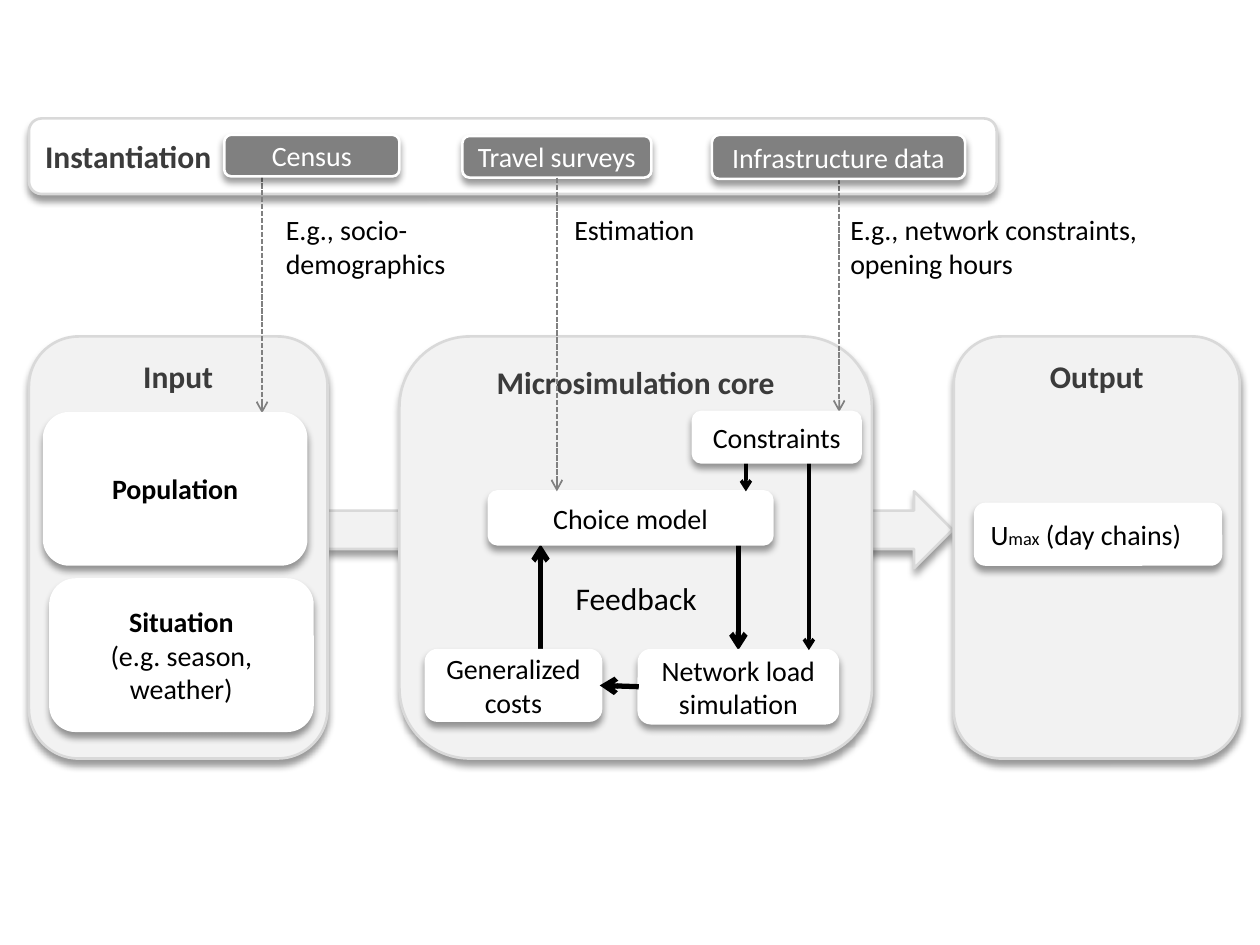
from dataclasses import dataclass
from typing import NamedTuple

from lxml.etree import SubElement
from pptx import Presentation
from pptx.dml.color import RGBColor
from pptx.enum.dml import MSO_LINE
from pptx.enum.shapes import MSO_CONNECTOR, MSO_SHAPE
from pptx.enum.text import MSO_ANCHOR, MSO_AUTO_SIZE, PP_ALIGN
from pptx.oxml.ns import qn
from pptx.util import Inches, Pt

COLUMNS, ROWS = 100, 75
SLIDE_WIDTH, SLIDE_HEIGHT = Inches(10), Inches(7.5)


@dataclass(frozen=True)
class Theme:
    font: str = "Calibri"
    white: str = "FFFFFF"
    black: str = "000000"
    panel: str = "F2F2F2"
    edge: str = "D9D9D9"
    heading: str = "3B3B3B"
    grey: str = "808080"
    large: float = 18
    body: float = 16
    subscript: float = 10.5
    outline: float = 1.5


THEME = Theme()


class Run(NamedTuple):
    text: str
    size: float = THEME.body
    color: str = THEME.black
    bold: bool = False


class Box(NamedTuple):
    """Position in grid cells, with one tuple of runs per paragraph."""
    left: float
    top: float
    width: float
    height: float
    paragraphs: tuple = ()
    fill: str = THEME.white
    edge: str = THEME.white
    align: PP_ALIGN = PP_ALIGN.CENTER
    anchor: MSO_ANCHOR = MSO_ANCHOR.MIDDLE
    preset: MSO_SHAPE = MSO_SHAPE.ROUNDED_RECTANGLE


class Link(NamedTuple):
    x1: float
    y1: float
    x2: float
    y2: float
    width: float
    color: str = THEME.black
    dashed: bool = False


class Note(NamedTuple):
    left: float
    top: float
    width: float
    height: float
    run: Run
    wrap: bool = True


def col(cells: float) -> int:
    return round(SLIDE_WIDTH * cells / COLUMNS)


def row(cells: float) -> int:
    return round(SLIDE_HEIGHT * cells / ROWS)


def place(item) -> tuple:
    return col(item.left), row(item.top), col(item.width), row(item.height)


def heading(text: str) -> tuple:
    return ((Run(text, THEME.large, THEME.heading, True),),)


def plain(text: str, color: str = THEME.black) -> tuple:
    return ((Run(text, color=color),),)


def panel(left: float, width: float, title: str) -> Box:
    return Box(left, 26.7, width, 33.5, heading(title), THEME.panel,
               THEME.edge, anchor=MSO_ANCHOR.TOP)


def source(left: float, top: float, width: float, height: float, name: str) -> Box:
    return Box(left, top, width, height, plain(name, THEME.white), THEME.grey)


def data_flow(x: float, top: float, bottom: float) -> Link:
    return Link(x, top, x, bottom, 1, THEME.grey, True)


def write(frame, paragraphs: tuple, align: PP_ALIGN, **frame_format) -> None:
    for name, value in frame_format.items():
        setattr(frame, name, value)
    for index, runs in enumerate(paragraphs):
        paragraph = frame.add_paragraph() if index else frame.paragraphs[0]
        paragraph.alignment = align
        for part in runs:
            run = paragraph.add_run()
            run.text = part.text
            font_format = {"name": THEME.font, "size": Pt(part.size), "bold": part.bold}
            for name, value in font_format.items():
                setattr(run.font, name, value)
            run.font.color.rgb = RGBColor.from_string(part.color)


def add_shadow(shape) -> None:
    effects = SubElement(shape._element.spPr, qn("a:effectLst"))
    shadow = SubElement(effects, qn("a:outerShdw"), blurRad=str(Pt(4)),
                        dist=str(Pt(3)), dir="5400000", rotWithShape="0")
    color = SubElement(shadow, qn("a:srgbClr"), val=THEME.black)
    SubElement(color, qn("a:alpha"), val="40000")


def draw_box(shapes, box: Box) -> None:
    shape = shapes.add_shape(box.preset, *place(box))
    shape.fill.solid()
    shape.fill.fore_color.rgb = RGBColor.from_string(box.fill)
    shape.line.color.rgb = RGBColor.from_string(box.edge)
    shape.line.width = Pt(THEME.outline)
    add_shadow(shape)
    write(shape.text_frame, box.paragraphs, box.align,
          vertical_anchor=box.anchor, word_wrap=True)


def draw_link(shapes, link: Link) -> None:
    connector = shapes.add_connector(MSO_CONNECTOR.STRAIGHT, col(link.x1), row(link.y1),
                                     col(link.x2), row(link.y2))
    connector.line.color.rgb = RGBColor.from_string(link.color)
    connector.line.width = Pt(link.width)
    if link.dashed:
        connector.line.dash_style = MSO_LINE.SQUARE_DOT
    SubElement(connector.line._get_or_add_ln(), qn("a:tailEnd"), type="arrow")
    SubElement(connector._element.spPr, qn("a:effectLst"))


def draw_note(shapes, note: Note) -> None:
    textbox = shapes.add_textbox(*place(note))
    write(textbox.text_frame, ((note.run,),), PP_ALIGN.LEFT, word_wrap=note.wrap,
          auto_size=MSO_AUTO_SIZE.SHAPE_TO_FIT_TEXT)


STAGES = (
    Box(2.3, 9.4, 76.8, 6, heading("Instantiation"), edge=THEME.edge, align=PP_ALIGN.LEFT),
    Box(26, 39, 49.6, 6.1, fill=THEME.panel, edge=THEME.edge, preset=MSO_SHAPE.RIGHT_ARROW),
    panel(31.7, 37.5, "Microsimulation core"),
    panel(75.7, 22.7, "Output"),
    panel(2.3, 23.7, "Input"),
)
LINKS_BEHIND = (
    data_flow(20.8, 14, 32.8),
    data_flow(66.6, 14.2, 32.7),
    Link(58.6, 43.2, 58.6, 51.6, 3),
    Link(42.9, 51.6, 42.9, 43.2, 3),
)
OUTPUT_RUNS = (Run("U"), Run("max", THEME.subscript), Run(" (day chains)"))
CARDS = (
    Box(77.4, 40, 19.5, 4.8, (OUTPUT_RUNS,), align=PP_ALIGN.LEFT),
    Box(3.5, 32.8, 20.8, 12, ((Run("Population", bold=True),),)),
    Box(4, 46, 20.8, 12, ((Run("Situation", bold=True),), (Run("(e.g. season, weather)"),))),
    Box(38.8, 39, 22.5, 4.2, plain("Choice model")),
    Box(33.8, 51.6, 13.9, 5.6, plain("Generalized costs")),
    source(17.8, 10.7, 13.9, 3.3, "Census"),
    source(36.7, 10.8, 15, 3.3, "Travel surveys"),
    source(56.5, 10.7, 20.1, 3.5, "Infrastructure data"),
    Box(50.7, 51.6, 15.8, 5.8, plain("Network load simulation")),
)
LINKS_FRONT = (
    Link(64.2, 35.6, 64.2, 51.6, 2),
    data_flow(44.2, 14.1, 39),
    Link(50.7, 54.5, 47.6, 54.4, 3),
    Link(59.2, 35.6, 59.2, 39, 2),
)
CONSTRAINTS = (Box(55, 32.7, 13.3, 4, plain("Constraints")),)
NOTES = (
    Note(44.7, 45.5, 11.7, 4, Run("Feedback", THEME.large), False),
    Note(44.6, 16.4, 11.7, 3.7, Run("Estimation"), False),
    Note(66.5, 16.4, 28.5, 6.4, Run("E.g., network constraints, opening hours")),
    Note(21.7, 16.4, 17.4, 6.4, Run("E.g., socio-demographics")),
)

presentation = Presentation()
presentation.slide_width, presentation.slide_height = SLIDE_WIDTH, SLIDE_HEIGHT
diagram = presentation.slides.add_slide(presentation.slide_layouts[6]).shapes

# Layers from back to front
for draw, layer in (
    (draw_box, STAGES),
    (draw_link, LINKS_BEHIND),
    (draw_box, CARDS),
    (draw_link, LINKS_FRONT),
    (draw_box, CONSTRAINTS),
    (draw_note, NOTES),
):
    for item in layer:
        draw(diagram, item)

presentation.save("out.pptx")
